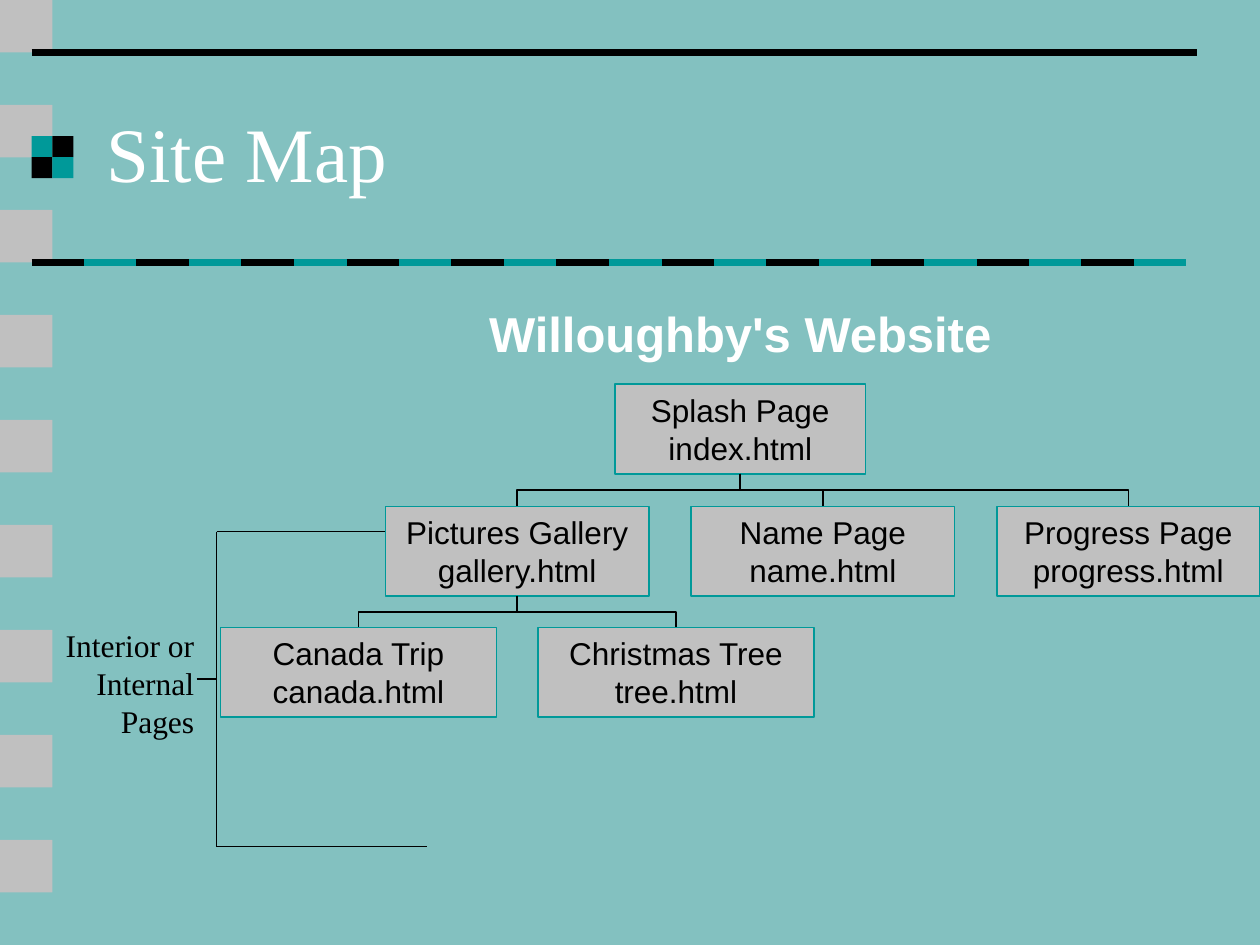
from dataclasses import dataclass

from pptx import Presentation
from pptx.dml.color import RGBColor as Rgb
from pptx.enum.shapes import MSO_CONNECTOR as Link, MSO_SHAPE as Shape
from pptx.enum.text import MSO_ANCHOR as Anchor, PP_ALIGN as Align
from pptx.oxml.ns import qn
from pptx.util import Inches, Pt


@dataclass(frozen=True)
class Theme:
    """Hold the colours, fonts and type sizes."""
    back: Rgb = Rgb.from_string("83C1C0")
    gray: Rgb = Rgb.from_string("C0C0C0")
    teal: Rgb = Rgb.from_string("009999")
    black: Rgb = Rgb.from_string("000000")
    white: Rgb = Rgb.from_string("FFFFFF")
    serif: str = "Times New Roman"
    sans: str = "Arial"
    title: Pt = Pt(44)
    head: Pt = Pt(28)
    body: Pt = Pt(18)


THEME = Theme()
UNIT = 5 / 12
TILE = UNIT * 0.4


def apply(target, values):
    """Set each named value on the target."""
    for name, value in values.items():
        setattr(target, name, value)


def write(shape, lines, font, align=Align.LEFT, anchor=Anchor.TOP, wrap=False):
    """Fill a shape with one paragraph per line."""
    frame = shape.text_frame
    apply(frame, {"word_wrap": wrap, "vertical_anchor": anchor})
    frame.text = "\n".join(lines)
    color = font["color"]
    plain = {name: value for name, value in font.items() if name != "color"}
    for para in frame.paragraphs:
        para.alignment = align
        apply(para.font, plain)
        para.font.color.rgb = color


def label(slide, place, lines, font, **layout):
    """Add a text box."""
    box = slide.shapes.add_textbox(*map(Inches, place))
    write(box, lines, font, **layout)


def block(slide, place, fill, edge=None):
    """Add a filled rectangle with an optional edge."""
    rect = slide.shapes.add_shape(Shape.RECTANGLE, *map(Inches, place))
    rect.shadow.inherit = False
    rect.fill.solid()
    rect.fill.fore_color.rgb = fill
    if edge is None:
        rect.line.fill.background()
    else:
        rect.line.color.rgb = edge
        rect.line.width = Pt(1)
    return rect


def stroke(slide, kind, ends, color, width):
    """Add a connector without a shadow."""
    line = slide.shapes.add_connector(kind, *ends)
    line.line.color.rgb = color
    line.line.width = Pt(width)
    props = line.element.spPr
    props.append(props.makeelement(qn("a:effectLst"), {}))
    return line


def rule(slide, ends, color=THEME.black, width=0.75):
    """Add a straight line between two points."""
    stroke(slide, Link.STRAIGHT, map(Inches, ends), color, width)


def branch(slide, parent, child):
    """Join a parent's bottom to a child's top by a vertical elbow."""
    start = parent.left + parent.width // 2
    end = child.left + child.width // 2
    top = parent.top + parent.height
    drop, span = child.top - top, abs(end - start)
    line = stroke(slide, Link.ELBOW, (start, top, end, child.top), THEME.black, 1)
    line.begin_connect(parent, 2)
    line.end_connect(child, 0)
    apply(line, {"left": (start + end - drop) // 2, "top": top + (drop - span) // 2,
                 "width": drop, "height": span})
    right = end > start
    turn = {"rot": "16200000" if right else "5400000",
            "flipH": "1" if right else "0", "flipV": "0"}
    frame = line.element.spPr.find(qn("a:xfrm"))
    for name, value in turn.items():
        frame.set(name, value)


def level(slide, left, right, top, width, pages):
    """Spread a row of page boxes evenly from left to right."""
    step = (right - left - width) / max(len(pages) - 1, 1)
    font = {"name": THEME.sans, "size": THEME.body, "color": THEME.black}
    boxes = []
    for col, lines in enumerate(pages):
        place = (left + col * step, top, width, 0.71)
        box = block(slide, place, THEME.gray, THEME.teal)
        write(box, lines, font, Align.CENTER, Anchor.MIDDLE)
        boxes.append(box)
    return boxes


def decor(slide):
    """Draw the side squares, rules and checkered mark."""
    for row in range(9):
        block(slide, (0, row * 2 * UNIT, UNIT, UNIT), THEME.gray)
    rule(slide, (0.25, UNIT, 9.5, UNIT), width=4.5)
    for row in range(2):
        for col in range(2):
            place = (0.25 + col * TILE, 1.08 + row * TILE, TILE, TILE)
            block(slide, place, THEME.black if row != col else THEME.teal)
    for dash in range(22):
        left = 0.25 + dash * UNIT
        color = THEME.teal if dash % 2 else THEME.black
        rule(slide, (left, 5 * UNIT, left + UNIT, 5 * UNIT), color, 4.5)


def bracket(slide):
    """Draw the bracket and its label for the interior pages."""
    for ends in ((1.72, 4.22, 3.39, 4.22), (1.72, 4.22, 1.72, 6.72),
                 (1.72, 6.72, 3.39, 6.72), (1.56, 5.39, 1.72, 5.39)):
        rule(slide, ends)
    font = {"name": THEME.serif, "size": THEME.body, "color": THEME.black}
    label(slide, (0.42, 4.92, 1.22, 1), ("Interior or", "Internal", "Pages"),
          font, align=Align.RIGHT)


def chart(slide):
    """Draw the site tree."""
    font = {"name": THEME.sans, "size": THEME.head, "bold": True, "color": THEME.white}
    label(slide, (1.75, 2.36, 8.25, 0.46), ("Willoughby's Website",), font,
          align=Align.CENTER)
    (root,) = level(slide, 4.88, 6.87, 3.05, 1.99, [("Splash Page", "index.html")])
    main_row = level(slide, 3.06, 10, 4.02, 2.09, [
        ("Pictures Gallery", "gallery.html"),
        ("Name Page", "name.html"),
        ("Progress Page", "progress.html")])
    sub_row = level(slide, 1.75, 6.46, 4.98, 2.19, [
        ("Canada Trip", "canada.html"),
        ("Christmas Tree", "tree.html")])
    for parent, row in ((root, main_row), (main_row[0], sub_row)):
        for child in row:
            branch(slide, parent, child)


def main():
    """Build and save the slide."""
    deck = Presentation()
    apply(deck, {"slide_width": Inches(10), "slide_height": Inches(7.5)})
    slide = deck.slides.add_slide(deck.slide_layouts[6])
    fill = slide.background.fill
    fill.solid()
    fill.fore_color.rgb = THEME.back
    decor(slide)
    font = {"name": THEME.serif, "size": THEME.title, "color": THEME.white}
    label(slide, (0.75, 0.58, 8.5, 1.25), ("Site Map",), font,
          anchor=Anchor.MIDDLE, wrap=True)
    bracket(slide)
    chart(slide)
    deck.save("out.pptx")


if __name__ == "__main__":
    main()
